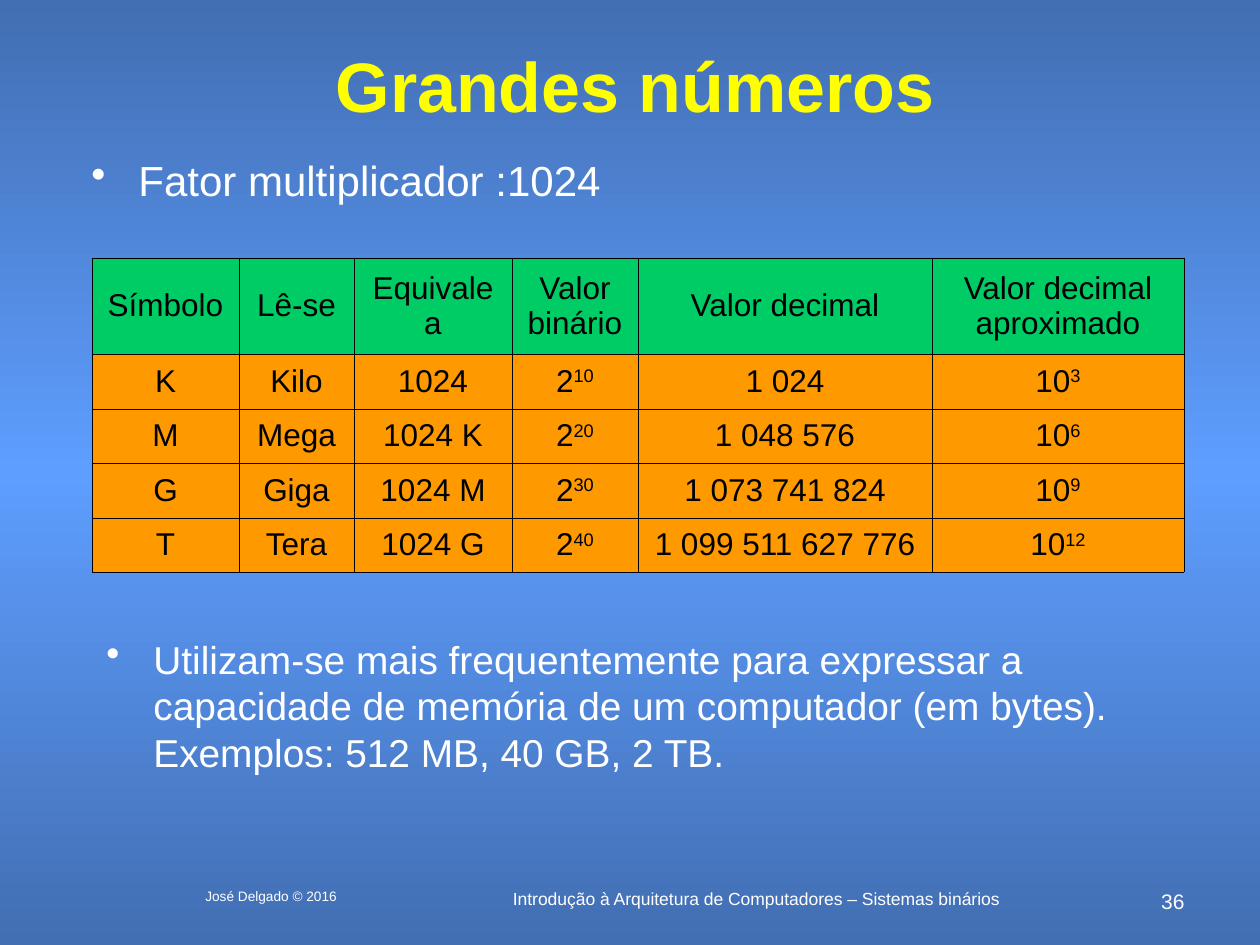
from copy import deepcopy
from dataclasses import dataclass

from lxml import etree
from pptx import Presentation
from pptx import util as u
from pptx.dml.color import RGBColor
from pptx.enum import text
from pptx.oxml.ns import qn

EMU_PER_PX = 914400 / 126
FONT = "Arial"
WHITE = RGBColor(0xFF, 0xFF, 0xFF)
BLACK = RGBColor(0x00, 0x00, 0x00)
YELLOW = RGBColor(0xFF, 0xFF, 0x00)
GREEN = RGBColor(0x00, 0xCC, 0x66)
ORANGE = RGBColor(0xFF, 0x99, 0x00)
DARK_BLUE = RGBColor(0x42, 0x6E, 0xB2)
LIGHT_BLUE = RGBColor(0x5E, 0x9E, 0xFF)
LEFT, CENTER, RIGHT = text.PP_ALIGN.LEFT, text.PP_ALIGN.CENTER, text.PP_ALIGN.RIGHT
TOP, MIDDLE = text.MSO_ANCHOR.TOP, text.MSO_ANCHOR.MIDDLE

TABLE_LEFT, TABLE_TOP = 92, 258
COLUMN_WIDTHS = (147, 115, 158, 126, 294, 252)
BULLET_INDENT = 47


@dataclass(frozen=True)
class TextItem:
    left: int
    top: int
    width: int
    height: int
    words: str
    size: float
    align: text.PP_ALIGN = LEFT
    anchor: text.MSO_ANCHOR = TOP
    color: RGBColor = WHITE
    bold: bool = False
    bullet: bool = False
    line_spacing: float = 1.0


@dataclass(frozen=True)
class TableRow:
    height: int
    fill: RGBColor
    cells: tuple[str, ...]  # "^" starts a superscript


TEXTS = (
    TextItem(420, 882, 672, 32,
             "Introdução à Arquitetura de Computadores – Sistemas binários", 10, CENTER),
    TextItem(1144, 882, 53, 21, "36", 12, RIGHT),
    TextItem(168, 882, 210, 32, "José Delgado © 2016 ", 7.8, CENTER),
    TextItem(94, 42, 1082, 84, "Grandes números", 40, CENTER, MIDDLE, YELLOW, bold=True),
    TextItem(79, 158, 1102, 80, "Fator multiplicador :1024", 24,
             bullet=True, line_spacing=0.8),
    TextItem(94, 629, 1102, 152,
             "Utilizam-se mais frequentemente para expressar a capacidade de memória "
             "de um computador (em bytes). Exemplos: 512 MB, 40 GB, 2 TB.", 22.2, bullet=True),
)
ROWS = (
    TableRow(96, GREEN, ("Símbolo", "Lê-se", "Equivale a", "Valor binário",
                         "Valor decimal", "Valor decimal aproximado")),
    TableRow(55, ORANGE, ("K", "Kilo", "1024", "2^10", "1 024", "10^3")),
    TableRow(54, ORANGE, ("M", "Mega", "1024 K", "2^20", "1 048 576", "10^6")),
    TableRow(55, ORANGE, ("G", "Giga", "1024 M", "2^30", "1 073 741 824", "10^9")),
    TableRow(54, ORANGE, ("T", "Tera", "1024 G", "2^40", "1 099 511 627 776", "10^12")),
)


def px(length: int) -> u.Emu:
    return u.Emu(round(length * EMU_PER_PX))


def add_run(paragraph, words: str, size: float, color: RGBColor,
            bold: bool = False, superscript: bool = False) -> None:
    run = paragraph.add_run()
    run.text = words
    run.font.name = FONT
    run.font.size = u.Pt(size)
    run.font.bold = bold
    run.font.color.rgb = color
    if superscript:
        run.font._element.set("baseline", "30000")


def add_bullet(paragraph) -> None:
    properties = paragraph._p.get_or_add_pPr()
    properties.set("marL", str(px(BULLET_INDENT)))
    properties.set("indent", str(-px(BULLET_INDENT)))
    color = etree.SubElement(properties, qn("a:buClr"))
    etree.SubElement(color, qn("a:srgbClr"), val=str(WHITE))
    etree.SubElement(properties, qn("a:buChar"), char="•")


def add_text(slide, item: TextItem) -> None:
    shape = slide.shapes.add_textbox(px(item.left), px(item.top), px(item.width), px(item.height))
    frame = shape.text_frame
    frame.word_wrap = True
    frame.vertical_anchor = item.anchor
    paragraph = frame.paragraphs[0]
    if item.bullet:
        add_bullet(paragraph)
    paragraph.alignment = item.align
    paragraph.line_spacing = item.line_spacing
    add_run(paragraph, item.words, item.size, item.color, item.bold)


def add_borders(cell) -> None:
    properties = cell._tc.get_or_add_tcPr()
    for index, side in enumerate(("a:lnL", "a:lnR", "a:lnT", "a:lnB")):
        line = etree.Element(qn(side), w=str(u.Pt(0.45)))
        fill = etree.SubElement(line, qn("a:solidFill"))
        etree.SubElement(fill, qn("a:srgbClr"), val=str(BLACK))
        properties.insert(index, line)


def add_row_table(slide, row: TableRow, top: int) -> None:
    frame = slide.shapes.add_table(1, len(row.cells), px(TABLE_LEFT), px(top),
                                   px(sum(COLUMN_WIDTHS)), px(row.height))
    table = frame.table
    table.first_row = table.horz_banding = False
    for column, width in zip(table.columns, COLUMN_WIDTHS):
        column.width = px(width)
    for cell, words in zip(table.rows[0].cells, row.cells):
        cell.fill.solid()
        cell.fill.fore_color.rgb = row.fill
        add_borders(cell)
        cell.vertical_anchor = MIDDLE
        paragraph = cell.text_frame.paragraphs[0]
        paragraph.alignment = CENTER
        base, _, exponent = words.partition("^")
        add_run(paragraph, base, 18, BLACK)
        if exponent:
            add_run(paragraph, exponent, 18, BLACK, superscript=True)


def set_background(slide) -> None:
    fill = slide.background.fill
    fill.gradient()
    fill.gradient_angle = 270
    stop_list = slide._element.find(".//" + qn("a:gsLst"))
    stop_list.append(deepcopy(stop_list[-1]))
    for stop, position, color in zip(fill.gradient_stops, (0, 0.5, 1),
                                     (DARK_BLUE, LIGHT_BLUE, DARK_BLUE)):
        stop.position = position
        stop.color.rgb = color


def main() -> None:
    presentation = Presentation()
    presentation.slide_width, presentation.slide_height = px(1260), px(945)
    slide = presentation.slides.add_slide(presentation.slide_layouts[6])
    set_background(slide)

    # Footer, title and bullets
    for item in TEXTS:
        add_text(slide, item)

    # One table per row, stacked without gaps
    top = TABLE_TOP
    for row in ROWS:
        add_row_table(slide, row, top)
        top += row.height

    presentation.save("out.pptx")


if __name__ == "__main__":
    main()
